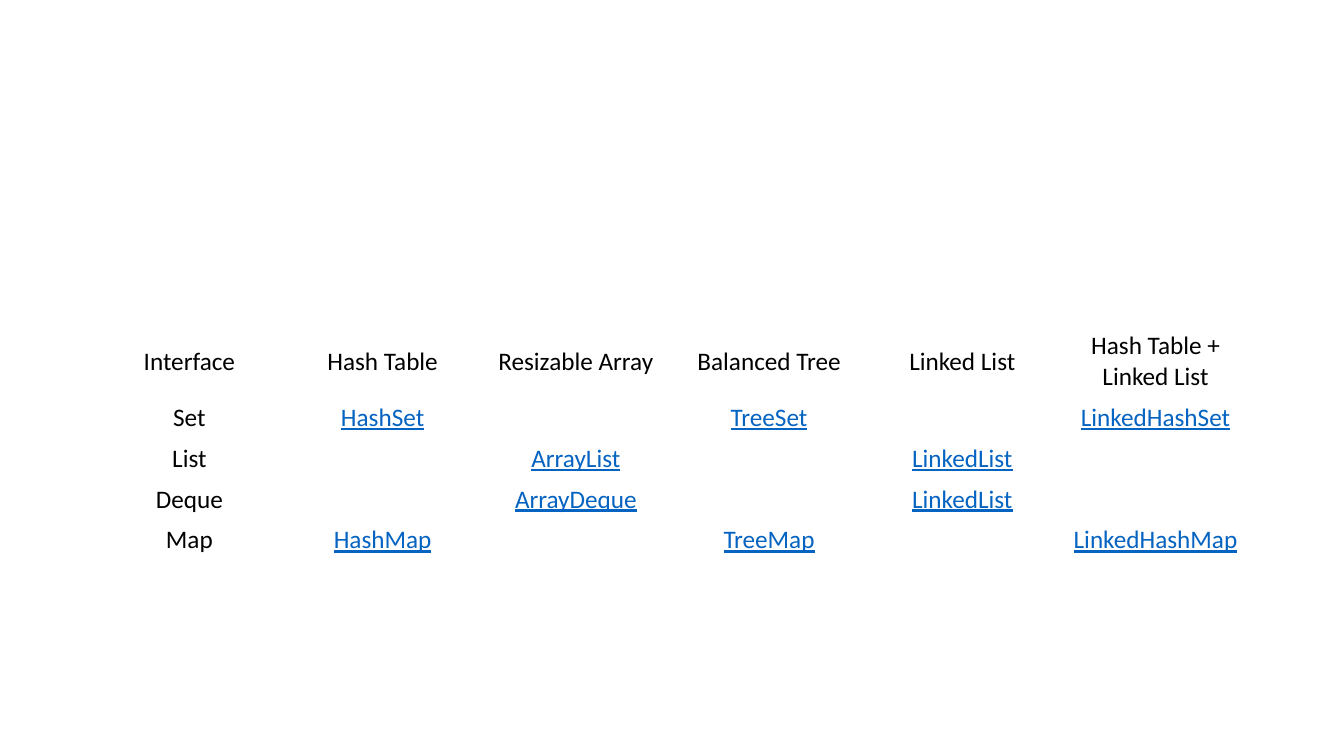
import pptx
import pptx.dml.color
import pptx.enum.text
import pptx.util
from dataclasses import dataclass

Inches = pptx.util.Inches

# Content
HEADERS = ["Interface", "Hash Table", "Resizable Array", "Balanced Tree",
           "Linked List", "Hash Table + Linked List"]
IMPLEMENTATIONS = [
    ["Set", "HashSet", "", "TreeSet", "", "LinkedHashSet"],
    ["List", "", "ArrayList", "", "LinkedList", ""],
    ["Deque", "", "ArrayDeque", "", "LinkedList", ""],
    ["Map", "HashMap", "", "TreeMap", "", "LinkedHashMap"],
]


@dataclass(frozen=True)
class Theme:
    font: str = "Calibri"
    size: int = 18
    text: str = "000000"
    class_name: str = "0563C1"


THEME = Theme()

# Table geometry in inches
LEFT, TOP, WIDTH = 0.92, 3.23, 11.5
HEADER_HEIGHT, ROW_HEIGHT = 0.7, 0.4


def fill_cell(cell, text, is_class):
    cell.fill.background()
    cell.vertical_anchor = pptx.enum.text.MSO_ANCHOR.MIDDLE
    cell.text = text
    paragraph = cell.text_frame.paragraphs[0]
    paragraph.alignment = pptx.enum.text.PP_ALIGN.CENTER
    font = paragraph.font
    font.name = THEME.font
    font.size = pptx.util.Pt(THEME.size)
    color = THEME.class_name if is_class else THEME.text
    font.color.rgb = pptx.dml.color.RGBColor.from_string(color)
    font.underline = is_class


def add_collections_table(slide):
    rows = [HEADERS] + IMPLEMENTATIONS
    height = HEADER_HEIGHT + ROW_HEIGHT * len(IMPLEMENTATIONS)
    table = slide.shapes.add_table(
        len(rows), len(HEADERS),
        Inches(LEFT), Inches(TOP), Inches(WIDTH), Inches(height)).table
    table.first_row = False
    table.horz_banding = False

    # Equal columns, taller header row
    for column in table.columns:
        column.width = Inches(WIDTH / len(HEADERS))
    for index, row in enumerate(table.rows):
        row.height = Inches(ROW_HEIGHT if index else HEADER_HEIGHT)

    # Class names are underlined; headings and interfaces are plain
    for row_index, row in enumerate(rows):
        for column_index, text in enumerate(row):
            is_class = row_index > 0 and column_index > 0
            fill_cell(table.cell(row_index, column_index), text, is_class)


def main():
    presentation = pptx.Presentation()
    presentation.slide_width = Inches(13.33)
    presentation.slide_height = Inches(7.5)
    blank_layout = presentation.slide_layouts[6]
    slide = presentation.slides.add_slide(blank_layout)
    add_collections_table(slide)
    presentation.save("out.pptx")


if __name__ == "__main__":
    main()
